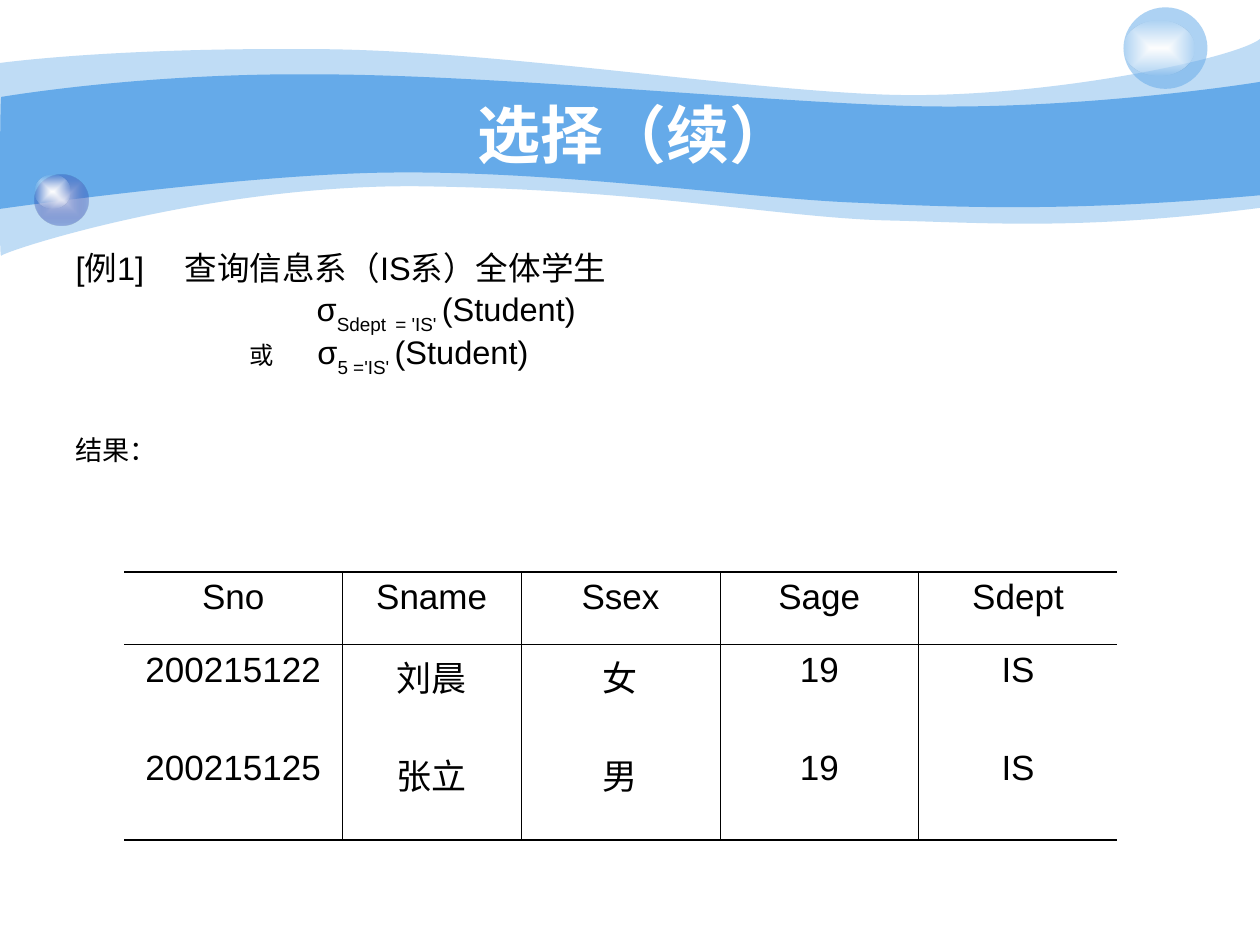
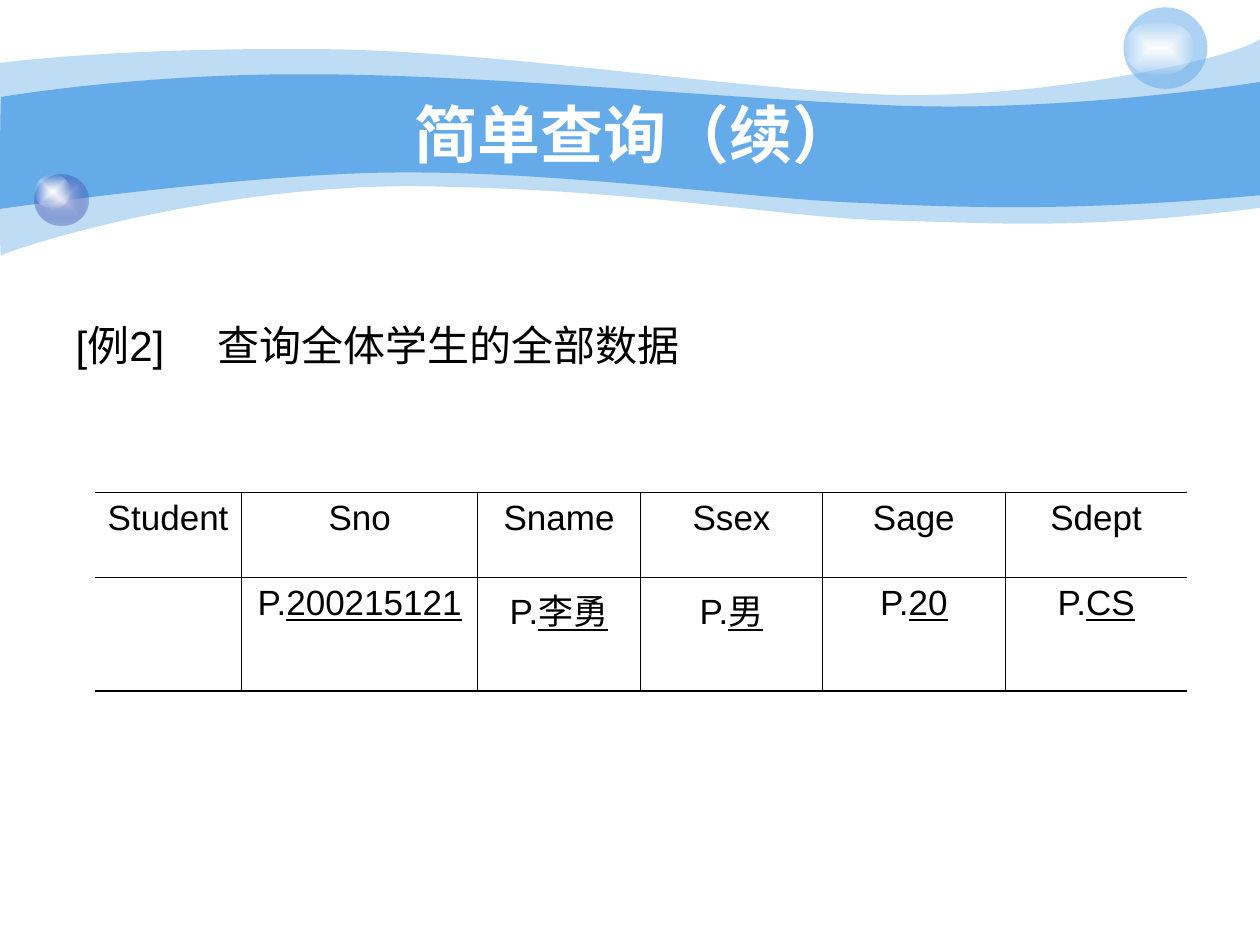
from dataclasses import dataclass

from pptx import Presentation
from pptx.dml.color import RGBColor
from pptx.enum.shapes import MSO_SHAPE as SHAPE
from pptx.enum.text import MSO_ANCHOR as ANCHOR, MSO_AUTO_SIZE as AUTO, PP_ALIGN as ALIGN
from pptx.oxml import parse_xml
from pptx.oxml.ns import nsdecls
from pptx.util import Pt


@dataclass(frozen=True)
class Theme:
    font: str = "Arial"
    band: str = "65AAE9"
    ball_core: str = "C7CEE9"
    ball_rim: str = "233DA9"
    white: str = "FFFFFF"
    ink: str = "000000"
    title: float = 36
    question: float = 24
    cell: float = 20
    formula: float = 18.6
    result: float = 15.5
    small: float = 13.9
    thick: float = 1.08
    thin: float = 0.45


T = Theme()

# Band outlines: a start point, then curves (three points) and lines (one point)
PALE_BAND = [
    (0, 36),
    [(17.3, 33.8), (77, 27.4), (177.8, 28.1)],
    [(277.9, 28.1), (414, 50.4), (503.3, 54)],
    [(591.8, 57.6), (705.6, 33.8), (720, 22.3)],
    [(720, 118.8)],
    [(617.8, 131.8), (566.6, 127.4), (507.6, 126)],
    [(447.8, 124.6), (370.8, 108.7), (247, 106.6)],
    [(123.8, 103.7), (2.9, 143.3), (0.7, 146.2)],
    [(-0.7, 149.8), (0, 54), (0, 36)],
]
DEEP_BAND = [
    (0.7, 55.4),
    [(1.4, 55.4), (79.2, 41.8), (178.6, 42.5)],
    [(277.9, 42.5), (428.4, 57.6), (517, 60.5)],
    [(605.5, 63.4), (702.7, 49.7), (720, 46.8)],
    [(720, 111.6)],
    [(614.2, 121), (550.8, 118.8), (491, 115.9)],
    [(431.3, 113.8), (321.8, 97.9), (228.2, 98.6)],
    [(146.2, 98.6), (-1.4, 119.5), (-0.7, 119.5)],
    [(0, 119.5), (0, 55.4), (0.7, 55.4)],
]


# ---- Text ----
def add_text(p, text, size=T.cell, color=T.ink, bold=False, underline=False, sub=False):
    r = p.add_run()
    r.text = text
    f = r.font
    f.name, f.size, f.bold, f.underline = T.font, Pt(size), bold, underline
    f.color.rgb = RGBColor.from_string(color)
    if sub:
        r._r.get_or_add_rPr().set("baseline", "-30000")


def add_line(tf, runs, left=0, hang=0, before=0, spacing=1.0):
    """Add a paragraph without bullet; a tab in it leads to the left indent."""
    first = tf.paragraphs[0]
    p = tf.add_paragraph() if first.runs else first
    p.alignment = ALIGN.JUSTIFY
    p.space_before, p.line_spacing = Pt(before), spacing
    pPr = p._p.get_or_add_pPr()
    pPr.set("marL", str(Pt(left)))
    pPr.set("indent", str(Pt(-hang)))
    pPr.append(parse_xml(f"<a:buNone {nsdecls('a')}/>"))
    for text, fmt in runs:
        add_text(p, text, **fmt)


def place(sp, left, top, width, height):
    sp.left, sp.top, sp.width, sp.height = map(Pt, (left, top, width, height))
    tf = sp.text_frame
    tf.word_wrap, tf.auto_size = True, AUTO.NONE
    return tf


# ---- Background ----
def stop_xml(pos, color, alpha):
    return (f'<a:gs pos="{pos * 1000}"><a:srgbClr val="{color}">'
            f'<a:alpha val="{alpha * 1000}"/></a:srgbClr></a:gs>')


def style(sp, color, alpha=100, rim=None):
    """Plain fill, or a gradient from the centre to rim = (colour, alpha)."""
    sp.shadow.inherit = False
    sp.line.fill.background()
    sp.fill.solid()
    sp.fill.fore_color.rgb = RGBColor.from_string(color)
    solid = sp.element.spPr.find("{*}solidFill")
    if rim:
        solid.getparent().replace(solid, parse_xml(
            f'<a:gradFill {nsdecls("a")} rotWithShape="1"><a:gsLst>'
            f'{stop_xml(0, color, alpha)}{stop_xml(100, *rim)}</a:gsLst>'
            '<a:path path="rect"><a:fillToRect l="50000" t="50000" r="50000" b="50000"/>'
            '</a:path></a:gradFill>'))
    elif alpha < 100:
        solid[0].append(parse_xml(f'<a:alpha {nsdecls("a")} val="{alpha * 1000}"/>'))
    return sp


def add_band(s, outline, alpha=100):
    start, *parts = outline
    builder = s.shapes.build_freeform(*map(Pt, start), scale=1.0)
    builder.add_line_segments([(Pt(x), Pt(y)) for part in parts for x, y in part])
    sp = builder.convert_to_shape()
    # Join the three segments of each curve into one Bezier
    segments = iter(list(sp.element.iter("{*}lnTo")))
    for part in parts:
        group = [next(segments) for _ in part]
        if len(group) == 3:
            bezier = parse_xml(f"<a:cubicBezTo {nsdecls('a')}/>")
            group[0].addprevious(bezier)
            for segment in group:
                bezier.append(segment[0])
                segment.getparent().remove(segment)
    return style(sp, T.band, alpha)


def add_ball(s, box, shine_box, color, **look):
    ball, shine = (s.shapes.add_shape(SHAPE.OVAL, *map(Pt, b)) for b in (box, shine_box))
    style(ball, color, **look)
    style(shine, T.white, rim=(T.white, 0))
    return s.shapes.add_group_shape([ball, shine])


def build_background(s, layout):
    """Draw the bands and balls, then hand them to the shared layout."""
    parts = [
        add_band(s, PALE_BAND, alpha=41),
        add_band(s, DEEP_BAND),
        add_ball(s, (19.6, 100, 31, 28.8), (19.6, 100, 20.6, 19.4),
                 T.ball_core, rim=(T.ball_rim, 31)),
        add_ball(s, (642, 4.2, 48, 46.6), (642, 12, 40.3, 31), T.band, alpha=53),
    ]
    for sp in parts:
        layout.shapes.element.append(sp.element)


# ---- Slide frame and tables ----
def fill_title(s, text):
    tf = place(s.shapes.title, 72, 54, 582, 44.6)
    tf.vertical_anchor = ANCHOR.MIDDLE
    p = tf.paragraphs[0]
    p.alignment = ALIGN.CENTER
    add_text(p, text, size=T.title, color=T.white, bold=True)


def set_borders(cell, **widths):
    tcPr = cell._tc.get_or_add_tcPr()
    for side in "LRTB":
        width = widths[side]
        paint = (f'<a:solidFill><a:srgbClr val="{T.ink}"/></a:solidFill>'
                 if width else "<a:noFill/>")
        tcPr.append(parse_xml(
            f'<a:ln{side} {nsdecls("a")} w="{Pt(width)}">{paint}</a:ln{side}>'))


def add_grid(s, left, top, widths, heights, rows, top_line=T.thick):
    """Open-sided table; a cell is a text or a (plain, underlined) pair."""
    last_row, last_col = len(heights) - 1, len(widths) - 1
    frame = s.shapes.add_table(len(heights), len(widths), Pt(left), Pt(top),
                               Pt(sum(widths)), Pt(sum(heights)))
    table = frame.table
    table.first_row = table.horz_banding = False
    for col, width in zip(table.columns, widths):
        col.width = Pt(width)
    for row, height in zip(table.rows, heights):
        row.height = Pt(height)
    for i, row in enumerate(rows):
        for j, value in enumerate(row):
            cell = table.cell(i, j)
            set_borders(cell,
                        L=T.thin if j else 0,
                        R=T.thin if j < last_col else 0,
                        T={0: top_line, 1: T.thin}.get(i, 0),
                        B=T.thick if i == last_row else 0 if i else T.thin)
            cell.fill.background()
            p = cell.text_frame.paragraphs[0]
            p.alignment = ALIGN.CENTER
            plain, underlined = (value, "") if isinstance(value, str) else value
            if plain:
                add_text(p, plain)
            if underlined:
                add_text(p, underlined, underline=True)


# ---- Slides ----
def selection_slide(s):
    fill_title(s, "选择（续）")
    tf = place(s.placeholders[1], 36, 144, 579, 131.8)
    main, sub = {"size": T.formula}, {"size": T.formula, "sub": True}
    add_line(tf, [("[例1]\t查询信息系（IS系）全体学生", main)],
             left=62.4, hang=62.4, spacing=0.7)
    add_line(tf, [("σ", main), ("Sdept", sub), (" ", main), ("= 'IS' ", sub),
                  ("(Student)", main)],
             left=137.8, before=6, spacing=0.7)
    add_line(tf, [("或", {"size": T.small}), ("\tσ", main), ("5 ='IS' ", sub),
                  ("(Student)", main)],
             left=138.2, hang=39, before=6, spacing=0.7)
    add_line(tf, [("结果：", {"size": T.result})], before=40.6, spacing=0.7)
    add_grid(s, 71, 326.8, [124.6, 102.2] + [113.6] * 3, [41.4, 55.9, 55.9], [
        ["Sno", "Sname", "Ssex", "Sage", "Sdept"],
        ["200215122", "刘晨", "女", "19", "IS"],
        ["200215125", "张立", "男", "19", "IS"],
    ])


def simple_query_slide(s):
    fill_title(s, "简单查询（续）")
    tf = place(s.placeholders[1], 36, 144, 579, 114.5)
    tf.margin_top = Pt(38.3)
    add_line(tf, [("[例2]\t查询全体学生的全部数据", {"size": T.question})],
             left=81, hang=81)
    values = ["200215121", "李勇", "男", "20", "CS"]
    add_grid(s, 54, 281.5, [84.2, 134.8, 93] + [104.2] * 3, [48.6, 64.8], [
        ["Student", "Sno", "Sname", "Ssex", "Sage", "Sdept"],
        [""] + [("P.", value) for value in values],
    ], top_line=T.thin)


def main():
    prs = Presentation()
    prs.slide_width, prs.slide_height = Pt(720), Pt(540)
    layout = prs.slide_layouts[1]
    builders = [selection_slide, simple_query_slide]
    slides = [prs.slides.add_slide(layout) for _ in builders]
    build_background(slides[0], layout)
    for build, s in zip(builders, slides):
        build(s)
    prs.save("out.pptx")


if __name__ == "__main__":
    main()
